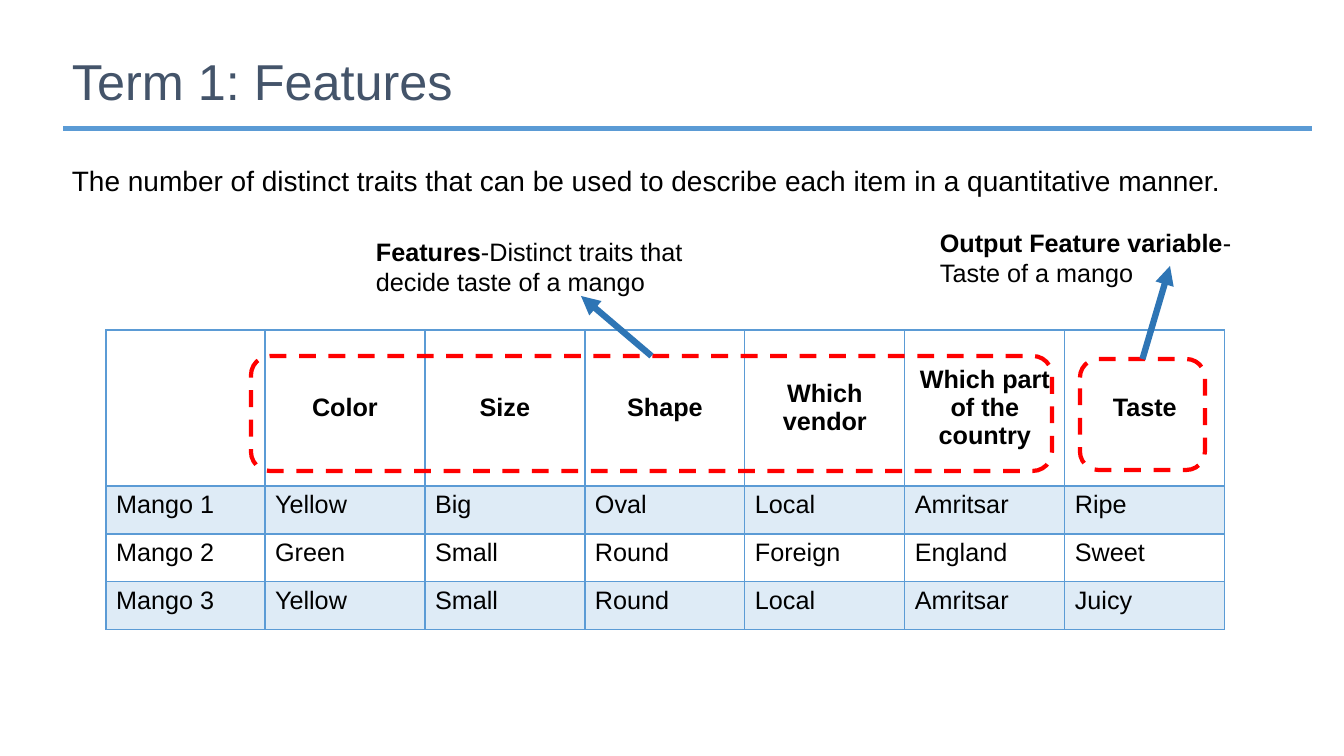
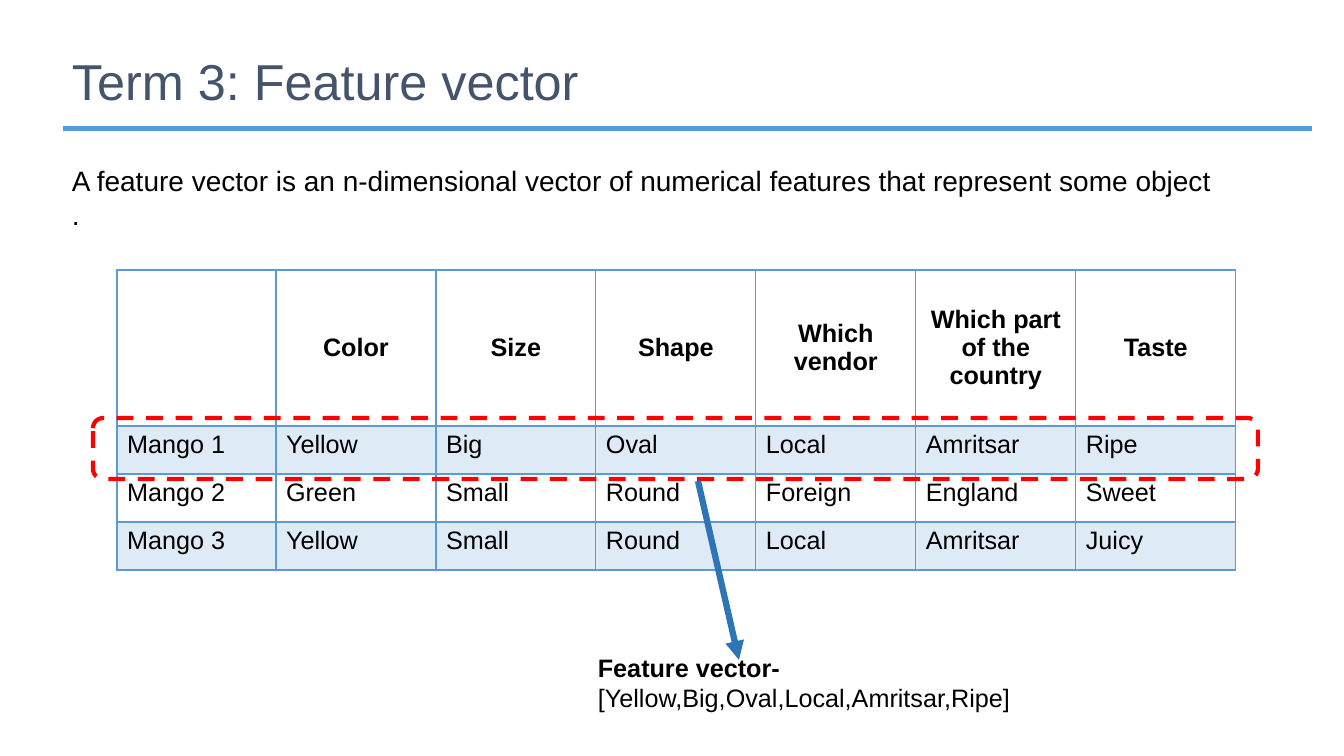
"""Builds two slides that explain features and feature vectors with a mango table."""
from lxml.etree import SubElement
from pptx import Presentation
from pptx.dml.color import RGBColor
from pptx.enum.dml import MSO_LINE
from pptx.enum.shapes import MSO_CONNECTOR, MSO_SHAPE
from pptx.enum.text import MSO_ANCHOR, PP_ALIGN
from pptx.oxml.ns import qn
from pptx.util import Emu, Pt

FONT = "Arial"
COLORS = {
    "title": "44546A",
    "text": "000000",
    "accent": "5B9BD5",
    "arrow": "2E75B5",
    "highlight": "FF0000",
    "edge": "FFFFFF",
}
TOP = 0
LABEL_COLUMN, VALUE_COLUMN = 159, 160
HEADER_ROW, VALUE_ROW = 156, 48
MANGOES = [
    ["", "Color", "Size", "Shape", "Which vendor", "Which part of the country", "Taste"],
    ["Mango 1", "Yellow", "Big", "Oval", "Local", "Amritsar", "Ripe"],
    ["Mango 2", "Green", "Small", "Round", "Foreign", "England", "Sweet"],
    ["Mango 3", "Yellow", "Small", "Round", "Local", "Amritsar", "Juicy"],
]


def px(length):
    return Emu(round(length * 914400 / 100.8))


def color(name):
    return RGBColor.from_string(COLORS[name])


def add_run(paragraph, text, size, bold=False, ink="text"):
    run = paragraph.add_run()
    run.text = text
    run.font.name = FONT
    run.font.size = Pt(size)
    run.font.bold = bold
    run.font.color.rgb = color(ink)


def add_text(slide, box, paragraphs, size, ink="text", spacing=None, before=0,
             anchor=MSO_ANCHOR.TOP):
    frame = slide.shapes.add_textbox(*map(px, box)).text_frame
    frame.word_wrap = True
    frame.vertical_anchor = anchor
    for index, runs in enumerate(paragraphs):
        paragraph = frame.add_paragraph() if index else frame.paragraphs[0]
        paragraph.line_spacing = spacing
        if index:
            paragraph.space_before = Pt(before)
        for text, bold in runs:
            add_run(paragraph, text, size, bold, ink)


def add_callout(slide, box, term, meaning):
    add_text(slide, box, [[(term, True), (meaning, False)]], 18)


def add_heading(slide, title, definition):
    rule = slide.shapes.add_shape(MSO_SHAPE.RECTANGLE, *map(px, (62, 125, 1251, 7)))
    rule.shadow.inherit = False
    rule.fill.solid()
    rule.fill.fore_color.rgb = color("accent")
    rule.line.color.rgb = color("edge")
    rule.line.width = Pt(1)
    add_text(slide, (62, 34, 1109, 100), [[(title, False)]], 36, "title", 0.9,
             anchor=MSO_ANCHOR.MIDDLE)
    add_text(slide, (62, 162, 1230, 40 * len(definition)),
             [[(line, False)] for line in definition], 20, spacing=0.9, before=3)


def set_borders(cell, widths):
    properties = cell._tc.get_or_add_tcPr()
    for side, width in widths.items():
        border = SubElement(properties, qn(f"a:ln{side}"), w=str(Pt(width)))
        fill = SubElement(border, qn("a:solidFill"))
        SubElement(fill, qn("a:srgbClr"), val=COLORS["accent"])


def shade(cell):
    cell.fill.solid()
    cell.fill.fore_color.rgb = color("accent")
    tint = cell._tc.tcPr.find(qn("a:solidFill")).find(qn("a:srgbClr"))
    SubElement(tint, qn("a:alpha"), val="20000")


def add_mango_table(slide, left, top):
    column_widths = [LABEL_COLUMN] + [VALUE_COLUMN] * (len(MANGOES[0]) - 1)
    row_heights = [HEADER_ROW] + [VALUE_ROW] * (len(MANGOES) - 1)
    size = (sum(column_widths), sum(row_heights))
    table = slide.shapes.add_table(len(row_heights), len(column_widths),
                                   *map(px, (left, top, *size))).table
    table.first_row = table.horz_banding = False
    for column, width in zip(table.columns, column_widths):
        column.width = px(width)
    for index, (row, height, values) in enumerate(zip(table.rows, row_heights, MANGOES)):
        row.height = px(height)
        header = index == 0
        for cell, value in zip(row.cells, values):
            set_borders(cell, {"L": 1, "R": 1, "T": 2 if index == 1 else 1,
                               "B": 2 if header else 1})
            if index % 2:
                shade(cell)
            else:
                cell.fill.background()
            paragraph = cell.text_frame.paragraphs[0]
            if header:
                cell.vertical_anchor = MSO_ANCHOR.MIDDLE
                paragraph.alignment = PP_ALIGN.CENTER
            if value:
                add_run(paragraph, value, 18, header)


def add_highlight(slide, box):
    highlight = slide.shapes.add_shape(MSO_SHAPE.ROUNDED_RECTANGLE, *map(px, box))
    highlight.shadow.inherit = False
    highlight.fill.background()
    highlight.line.color.rgb = color("highlight")
    highlight.line.width = Pt(3)
    highlight.line.dash_style = MSO_LINE.DASH
    return highlight


def add_arrow(slide, start, end, source=None):
    arrow = slide.shapes.add_connector(MSO_CONNECTOR.STRAIGHT, *map(px, (*start, *end)))
    if source is not None:
        arrow.begin_connect(source, TOP)
    arrow.line.color.rgb = color("arrow")
    arrow.line.width = Pt(4.5)
    SubElement(arrow.line._get_or_add_ln(), qn("a:tailEnd"), type="triangle")
    SubElement(arrow._element.spPr, qn("a:effectLst"))


def build_features(slide):
    add_heading(slide, "Term 1: Features", [
        "The number of distinct traits that can be used to describe each item "
        "in a quantitative manner."])
    add_mango_table(slide, 106, 330)
    features = add_highlight(slide, (251, 356, 801, 115))
    add_callout(slide, (366, 231, 345, 72), "Features",
                "-Distinct traits that decide taste of a mango")
    add_arrow(slide, (652, 356), (581, 296), features)
    taste = add_highlight(slide, (1080, 359, 125, 111))
    add_callout(slide, (930, 222, 345, 72), "Output Feature variable", "- Taste of a mango")
    add_arrow(slide, (1142, 359), (1170, 266), taste)


def build_feature_vector(slide):
    add_heading(slide, "Term 3: Feature vector", [
        "A feature vector is an n-dimensional vector of numerical features "
        "that represent some object", "."])
    add_mango_table(slide, 117, 270)
    add_highlight(slide, (93, 418, 1165, 61))
    add_arrow(slide, (698, 481), (739, 660))
    add_callout(slide, (588, 647, 529, 72), "Feature vector- ",
                "[Yellow,Big,Oval,Local,Amritsar,Ripe]")


def main():
    deck = Presentation()
    deck.slide_width, deck.slide_height = px(1344), px(756)
    blank = deck.slide_layouts[6]
    for build in (build_features, build_feature_vector):
        build(deck.slides.add_slide(blank))
    deck.save("out.pptx")


if __name__ == "__main__":
    main()
